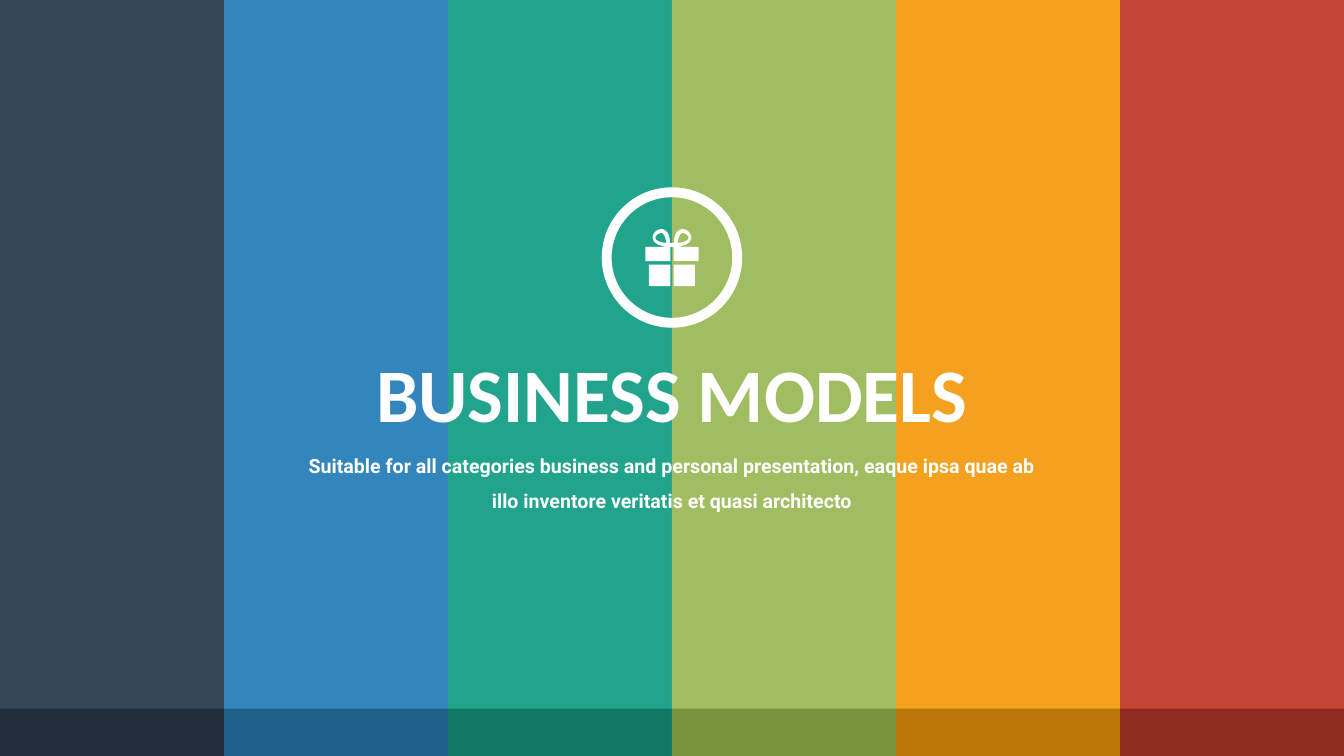
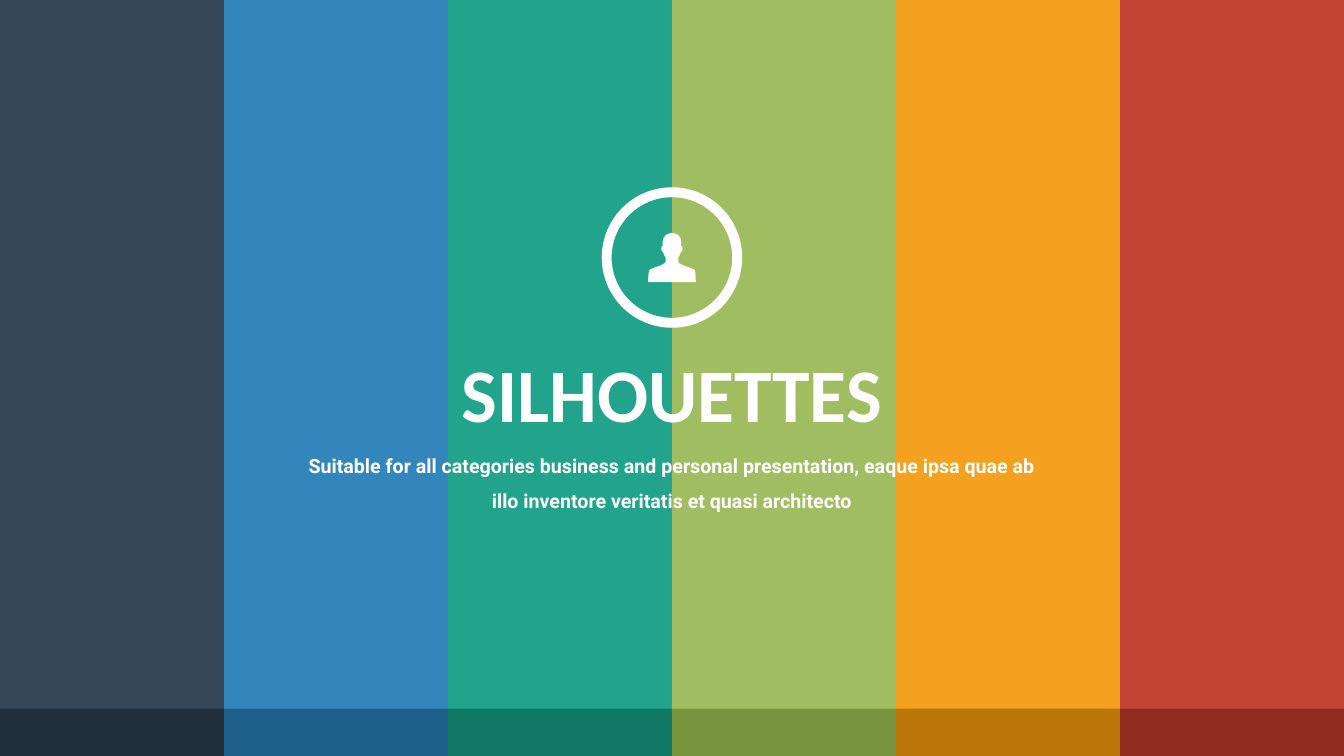
import itertools
from dataclasses import dataclass
from typing import Sequence

import lxml.etree
import pptx
import pptx.dml.color
import pptx.enum.shapes
import pptx.enum.text
import pptx.oxml.ns
import pptx.presentation
import pptx.shapes.base
import pptx.slide
import pptx.util

Cm = pptx.util.Cm
RGB = pptx.dml.color.RGBColor
SHAPE = pptx.enum.shapes.MSO_SHAPE
qn = pptx.oxml.ns.qn
Outline = Sequence[tuple[float, ...]]

WHITE = RGB(0xFF, 0xFF, 0xFF)
NAVY, NAVY_DARK = RGB(0x2C, 0x3F, 0x50), RGB(0x21, 0x2F, 0x3C)
BLUE, BLUE_DARK = RGB(0x29, 0x80, 0xB9), RGB(0x1F, 0x60, 0x8B)
TEAL, TEAL_DARK = RGB(0x16, 0xA0, 0x85), RGB(0x10, 0x78, 0x64)
GREEN, GREEN_DARK = RGB(0x9B, 0xBB, 0x59), RGB(0x77, 0x93, 0x3C)
ORANGE, ORANGE_DARK = RGB(0xF3, 0x9C, 0x12), RGB(0xBA, 0x76, 0x09)
RED, RED_DARK = RGB(0xC0, 0x39, 0x2B), RGB(0x90, 0x2B, 0x20)

SLIDE_WIDTH, SLIDE_HEIGHT = 33.87, 19.05
CENTRE_X, RING_Y = SLIDE_WIDTH / 2, 6.49
RING_SIZE, RING_THICKNESS = 3.54, 0.25
FOOTER_TOP = 17.86
TAGLINE = (
    "Suitable for all categories business and personal presentation, "
    "eaque ipsa quae ab illo inventore veritatis et quasi architecto"
)


@dataclass(frozen=True)
class Stripe:
    colour: RGB
    footer: RGB


@dataclass(frozen=True)
class Icon:
    half_outline: Outline
    half_hole: Outline = ()
    half_box: tuple[float, ...] = ()


@dataclass(frozen=True)
class Section:
    title: str
    title_width: float
    icon: Icon


STRIPES = (
    Stripe(NAVY, NAVY_DARK),
    Stripe(BLUE, BLUE_DARK),
    Stripe(TEAL, TEAL_DARK),
    Stripe(GREEN, GREEN_DARK),
    Stripe(ORANGE, ORANGE_DARK),
    Stripe(RED, RED_DARK),
)

GIFT = Icon(
    half_outline=(
        (0.05, -0.37),
        (0.05, -0.62, 0.16, -0.72, 0.27, -0.72),
        (0.39, -0.72, 0.49, -0.6, 0.49, -0.5),
        (0.49, -0.34, 0.27, -0.29, 0.14, -0.27),
        (0.67, -0.27), (0.67, 0.09), (0.04, 0.09), (0.04, -0.27),
    ),
    half_hole=(
        (0.27, -0.62),
        (0.34, -0.62, 0.42, -0.55, 0.42, -0.5),
        (0.42, -0.42, 0.27, -0.37, 0.14, -0.37),
        (0.16, -0.52, 0.21, -0.62, 0.27, -0.62),
    ),
    half_box=(0.04, 0.18, 0.54, 0.54),
)

PERSON = Icon(
    half_outline=(
        (0, -0.62),
        (0.13, -0.62, 0.23, -0.52, 0.23, -0.42),
        (0.24, -0.39, 0.24, -0.34, 0.23, -0.29),
        (0.26, -0.31, 0.27, -0.26, 0.27, -0.22),
        (0.27, -0.18, 0.25, -0.13, 0.22, -0.13),
        (0.2, -0.04, 0.16, -0.01, 0.16, -0.01),
        (0.16, 0.11),
        (0.16, 0.12, 0.18, 0.15, 0.29, 0.2),
        (0.42, 0.25, 0.54, 0.28, 0.57, 0.32),
        (0.6, 0.36, 0.6, 0.62, 0.6, 0.62),
    ),
)

SECTIONS = (
    Section("BUSINESS MODELS", 15.57, GIFT),
    Section("SILHOUETTES", 11.23, PERSON),
)


def paint(shape: pptx.shapes.base.BaseShape, colour: RGB, opacity: int = 100) -> None:
    shape.shadow.inherit = False
    shape.line.fill.background()
    shape.fill.solid()
    shape.fill.fore_color.rgb = colour
    if opacity < 100:
        tint = shape.fill._xPr.find(".//" + qn("a:srgbClr"))
        alpha = lxml.etree.SubElement(tint, qn("a:alpha"))
        alpha.set("val", str(opacity * 1000))


def add_block(slide: pptx.slide.Slide, left: float, top: float, width: float,
              height: float, colour: RGB, opacity: int = 100) -> None:
    block = slide.shapes.add_shape(
        SHAPE.RECTANGLE, Cm(left), Cm(top), Cm(width), Cm(height))
    paint(block, colour, opacity)


def add_text(slide: pptx.slide.Slide, text: str, *, top: float, width: float,
             height: float, size: int, font: str, wrap: bool = True,
             line_spacing: float | None = None) -> None:
    box = slide.shapes.add_textbox(
        Cm(CENTRE_X - width / 2), Cm(top), Cm(width), Cm(height))
    box.text_frame.word_wrap = wrap
    box.text_frame.auto_size = pptx.enum.text.MSO_AUTO_SIZE.SHAPE_TO_FIT_TEXT
    paragraph = box.text_frame.paragraphs[0]
    paragraph.alignment = pptx.enum.text.PP_ALIGN.CENTER
    paragraph.line_spacing = line_spacing
    run = paragraph.add_run()
    run.text = text
    run.font.name = font
    run.font.size = pptx.util.Pt(size)
    run.font.bold = True
    run.font.color.rgb = WHITE


def pairs(segment: tuple[float, ...]) -> list[tuple[float, float]]:
    return list(zip(segment[::2], segment[1::2]))


def mirror(outline: Outline) -> list[tuple[float, ...]]:
    x, y = outline[-1][-2:]
    mirrored = [(-x, y)]
    for before, segment in reversed(list(itertools.pairwise(outline))):
        points = pairs(segment)[-2::-1] if len(segment) > 2 else []
        points.append(before[-2:])
        mirrored.append(tuple(value for x, y in points for value in (-x, y)))
    return mirrored


def place(segment: tuple[float, ...]) -> list[tuple[int, int]]:
    return [(Cm(CENTRE_X + x), Cm(RING_Y + y)) for x, y in pairs(segment)]


def add_outline(slide: pptx.slide.Slide, contours: Sequence[Outline]) -> None:
    placed = [[place(segment) for segment in contour] for contour in contours]
    builder = slide.shapes.build_freeform(*placed[0][0][-1])
    for index, contour in enumerate(placed):
        anchors = [segment[-1] for segment in contour]
        if index:
            builder.move_to(*anchors[0])
        builder.add_line_segments(anchors[1:], close=True)
    figure = builder.convert_to_shape()
    steps = [step for step in figure._element.iter(qn("a:moveTo"), qn("a:lnTo"))]
    for step, segment in zip(steps, itertools.chain.from_iterable(placed)):
        if len(segment) == 1:
            continue
        curve = lxml.etree.Element(qn("a:cubicBezTo"))
        for x, y in segment:
            lxml.etree.SubElement(
                curve, qn("a:pt"), x=str(x - figure.left), y=str(y - figure.top))
        step.getparent().replace(step, curve)
    paint(figure, WHITE)


def add_icon(slide: pptx.slide.Slide, icon: Icon) -> None:
    if icon.half_box:
        x, y, width, height = icon.half_box
        for left in (-x - width, x):
            add_block(slide, CENTRE_X + left, RING_Y + y, width, height, WHITE)
    contours = [[*icon.half_outline, *mirror(icon.half_outline)]]
    if icon.half_hole:
        contours += [icon.half_hole, mirror(icon.half_hole)]
    add_outline(slide, contours)


def add_ring(slide: pptx.slide.Slide) -> None:
    ring = slide.shapes.add_shape(
        SHAPE.DONUT, Cm(CENTRE_X - RING_SIZE / 2), Cm(RING_Y - RING_SIZE / 2),
        Cm(RING_SIZE), Cm(RING_SIZE))
    ring.adjustments[0] = RING_THICKNESS / RING_SIZE
    paint(ring, WHITE)


def add_stripes(slide: pptx.slide.Slide) -> None:
    width = SLIDE_WIDTH / len(STRIPES)
    for index, stripe in enumerate(STRIPES):
        add_block(slide, index * width, 0, width, SLIDE_HEIGHT, stripe.colour, opacity=95)
    for index, stripe in enumerate(STRIPES):
        add_block(slide, index * width, FOOTER_TOP, width,
                  SLIDE_HEIGHT - FOOTER_TOP, stripe.footer)


def add_section(deck: pptx.presentation.Presentation, section: Section) -> None:
    slide = deck.slides.add_slide(deck.slide_layouts[6])
    add_stripes(slide)
    add_text(slide, section.title, top=8.62, width=section.title_width, height=2.57,
             size=54, font="Calibri", wrap=False)
    add_text(slide, TAGLINE, top=11.02, width=19.02, height=1.96,
             size=14, font="Roboto", line_spacing=1.5)
    add_ring(slide)
    add_icon(slide, section.icon)


def main() -> None:
    deck = pptx.Presentation()
    deck.slide_width, deck.slide_height = Cm(SLIDE_WIDTH), Cm(SLIDE_HEIGHT)
    for section in SECTIONS:
        add_section(deck, section)
    deck.save("out.pptx")


if __name__ == "__main__":
    main()
